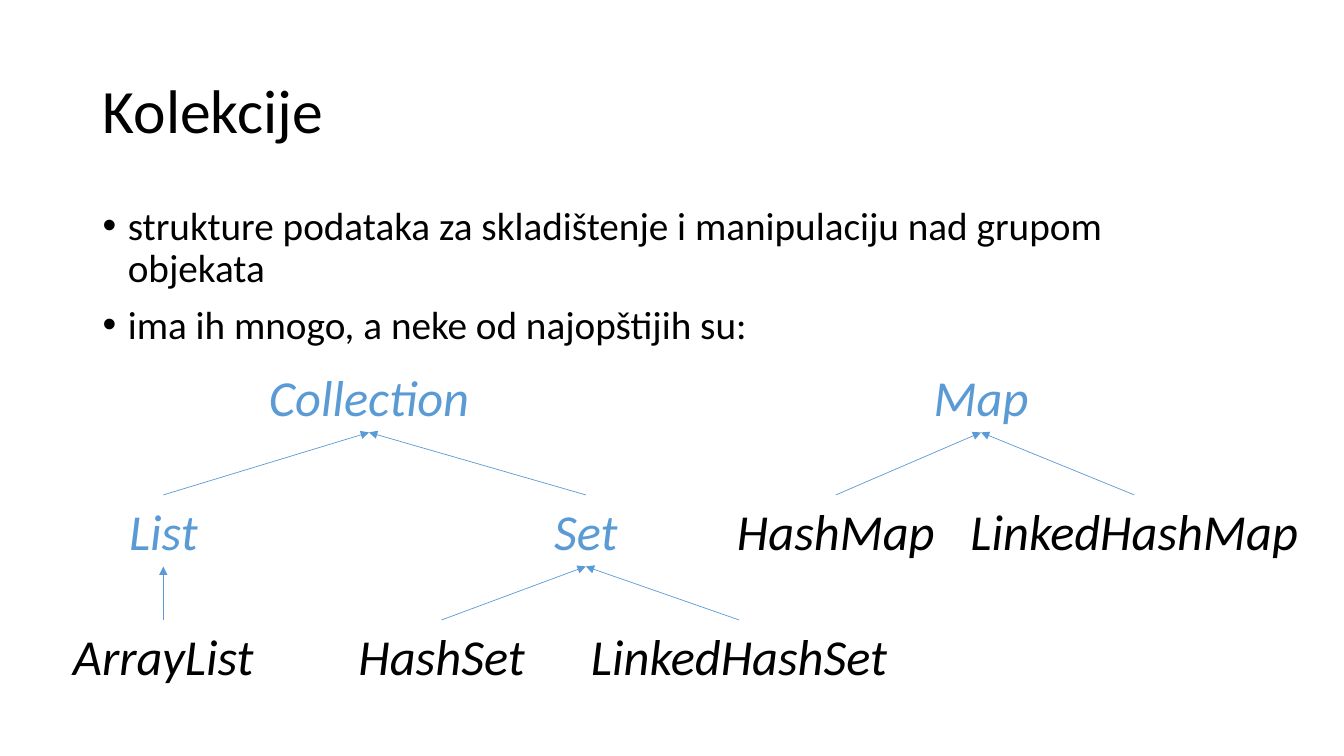
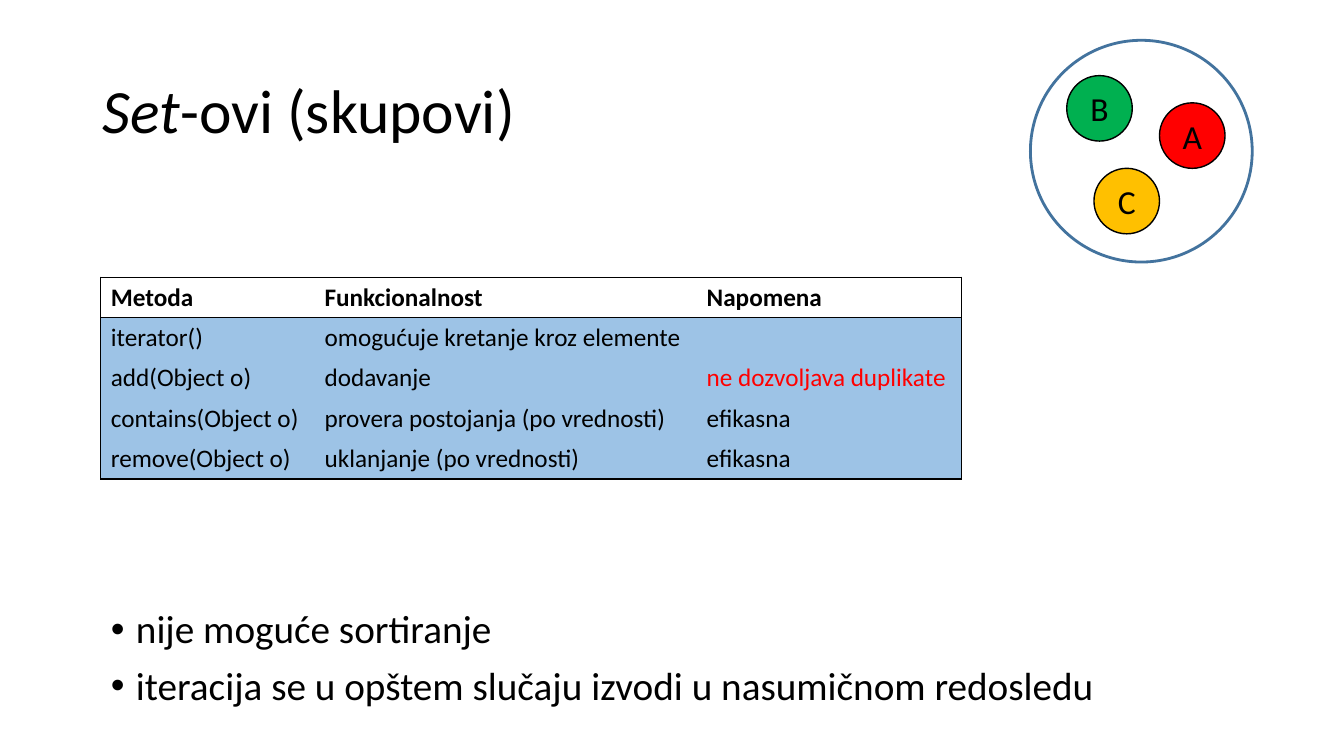
from pptx import Presentation
from pptx.dml.color import RGBColor
from pptx.enum.shapes import MSO_CONNECTOR, MSO_SHAPE
from pptx.enum.text import MSO_ANCHOR, MSO_AUTO_SIZE, PP_ALIGN
from pptx.oxml.ns import qn
from pptx.util import Inches, Pt
from lxml import etree

OVAL, LINE = MSO_SHAPE.OVAL, MSO_CONNECTOR.STRAIGHT
CENTER, MIDDLE = PP_ALIGN.CENTER, MSO_ANCHOR.MIDDLE
FIT = MSO_AUTO_SIZE.SHAPE_TO_FIT_TEXT
FONT = "Calibri"
COLORS = {"text": "000000", "white": "FFFFFF", "blue": "5B9BD5", "ring": "43739E",
          "row": "9DC3E6", "red": "FF0000", "green": "00B050", "amber": "FFC000"}

# Content: titles are lists of (text, italic)
TITLES = [[("Kolekcije", False)], [("Set", True), ("-ovi (skupovi)", False)]]
INTRO = ["strukture podataka za skladištenje i manipulaciju nad grupom objekata",
         "ima ih mnogo, a neke od najopštijih su:"]
NOTES = ["nije moguće sortiranje",
         "iteracija se u opštem slučaju izvodi u nasumičnom redosledu"]

# Class tree: name -> (centre x, width, level, colour, parent)
LEVEL_TOPS, NODE_H = (3.58, 4.91, 6.15), 0.71
TREE = {
    "Collection": (3.66, 2.25, 0, "blue", None),
    "List": (1.62, 0.89, 1, "blue", "Collection"),
    "Set": (5.81, 0.85, 1, "blue", "Collection"),
    "ArrayList": (1.62, 2.01, 2, "text", "List"),
    "HashSet": (4.38, 1.87, 2, "text", "Set"),
    "LinkedHashSet": (7.33, 3.19, 2, "text", "Set"),
    "Map": (9.73, 1.15, 0, "blue", None),
    "HashMap": (8.29, 2.18, 1, "text", "Map"),
    "LinkedHashMap": (11.25, 3.48, 1, "text", "Map"),
}

METHODS = [
    ("Metoda", "Funkcionalnost", "Napomena"),
    ("iterator()", "omogućuje kretanje kroz elemente", ""),
    ("add(Object o)", "dodavanje", "ne dozvoljava duplikate"),
    ("contains(Object o)", "provera postojanja (po vrednosti)", "efikasna"),
    ("remove(Object o)", "uklanjanje (po vrednosti)", "efikasna"),
]
COL_WIDTHS, ROW_H = (2.12, 3.79, 2.63), 0.4
WARNING = "ne dozvoljava duplikate"
ELEMENTS = [("A", 11.5, 1.02, "red"), ("B", 10.58, 0.75, "green"),
            ("C", 10.85, 1.67, "amber")]


def rgb(name):
    return RGBColor.from_string(COLORS[name])


def style(r, size, color="text", italic=False, bold=False):
    f = r.font
    f.name, f.size, f.italic, f.bold = FONT, Pt(size), italic, bold
    f.color.rgb = rgb(color)


def text_box(s, x, y, w, h):
    tf = s.shapes.add_textbox(*map(Inches, (x, y, w, h))).text_frame
    tf.word_wrap = True
    return tf


def add_slide(title):
    s = prs.slides.add_slide(prs.slide_layouts[6])
    tf = text_box(s, 0.92, 0.4, 11.5, 1.45)
    tf.vertical_anchor = MIDDLE
    p = tf.paragraphs[0]
    p.line_spacing = 0.9
    for text, italic in title:
        r = p.add_run()
        r.text = text
        style(r, 44, italic=italic)
    return s


def add_bullets(s, lines, x, y, w, h):
    tf = text_box(s, x, y, w, h)
    tf.text = "\n".join(lines)
    for p in tf.paragraphs:
        p.line_spacing, p.space_before = 0.9, Pt(10)
        style(p.runs[0], 28)
        pPr = p._p.get_or_add_pPr()
        pPr.set("marL", str(Inches(0.25)))
        pPr.set("indent", str(-Inches(0.25)))
        etree.SubElement(pPr, qn("a:buFont"), typeface="Arial")
        etree.SubElement(pPr, qn("a:buChar"), char="•")


def add_node(s, name):
    x, w, level, color, _ = TREE[name]
    tf = text_box(s, x - w / 2, LEVEL_TOPS[level], w, NODE_H)
    tf.word_wrap, tf.auto_size = False, FIT
    tf.text = name
    p = tf.paragraphs[0]
    p.alignment = CENTER
    style(p.runs[0], 36, color, italic=True)


def add_arrow(s, child, parent):
    x1, _, level, *_ = TREE[child]
    x2, _, upper, *_ = TREE[parent]
    ends = (x1, LEVEL_TOPS[level], x2, LEVEL_TOPS[upper] + NODE_H)
    c = s.shapes.add_connector(LINE, *map(Inches, ends))
    c.line.color.rgb, c.line.width = rgb("blue"), Pt(0.5)
    etree.SubElement(c.line._get_or_add_ln(), qn("a:tailEnd"), type="triangle")
    etree.SubElement(c._element.spPr, qn("a:effectLst"))


def add_circle(s, x, y, size, line, width, fill=None, label=""):
    sp = s.shapes.add_shape(OVAL, *map(Inches, (x, y, size, size)))
    sp.shadow.inherit = False
    sp.line.color.rgb, sp.line.width = rgb(line), Pt(width)
    if not fill:
        sp.fill.background()
        return
    sp.fill.solid()
    sp.fill.fore_color.rgb = rgb(fill)
    tf = sp.text_frame
    tf.word_wrap, tf.vertical_anchor = False, MIDDLE
    tf.text = label
    p = tf.paragraphs[0]
    p.alignment = CENTER
    style(p.runs[0], 24)


def set_borders(cell, sides):
    tcPr = cell._tc.get_or_add_tcPr()
    for i, side in enumerate("LRTB"):
        ln = etree.Element(qn("a:ln" + side), w=str(Pt(1)))
        if side in sides:
            fill = etree.SubElement(ln, qn("a:solidFill"))
            etree.SubElement(fill, qn("a:srgbClr"), val=COLORS["text"])
        else:
            etree.SubElement(ln, qn("a:noFill"))
        tcPr.insert(i, ln)


def add_methods(s, x, y):
    n, m = len(METHODS), len(COL_WIDTHS)
    size = map(Inches, (x, y, sum(COL_WIDTHS), n * ROW_H))
    table = s.shapes.add_table(n, m, *size).table
    table.first_row = table.horz_banding = False
    for col, w in zip(table.columns, COL_WIDTHS):
        col.width = Inches(w)
    for i, row in enumerate(METHODS):
        for j, text in enumerate(row):
            cell = table.cell(i, j)
            cell.text = text
            for r in cell.text_frame.paragraphs[0].runs:
                style(r, 18, "red" if text == WARNING else "text", bold=i == 0)
            if i:
                cell.fill.solid()
                cell.fill.fore_color.rgb = rgb("row")
            else:
                cell.fill.background()
            # Outer frame plus a rule under the header
            edges = {"L": j == 0, "R": j == m - 1, "T": i < 2, "B": i in (0, n - 1)}
            set_borders(cell, [side for side, on in edges.items() if on])


prs = Presentation()
prs.slide_width, prs.slide_height = Inches(13.33), Inches(7.5)

# Slide 1: collection hierarchy
s = add_slide(TITLES[0])
for name in TREE:
    add_node(s, name)
for name, (*_, parent) in TREE.items():
    if parent:
        add_arrow(s, name, parent)
add_bullets(s, INTRO, 0.92, 2, 11.5, 1.46)

# Slide 2: sets
s = add_slide(TITLES[1])
add_methods(s, 1, 2.75)
add_bullets(s, NOTES, 1, 6, 10.01, 1.11)
add_circle(s, 10.22, 0.4, 2.2, "ring", 2)
for label, x, y, color in ELEMENTS:
    add_circle(s, x, y, 0.65, "text", 1, color, label)

prs.save("out.pptx")
